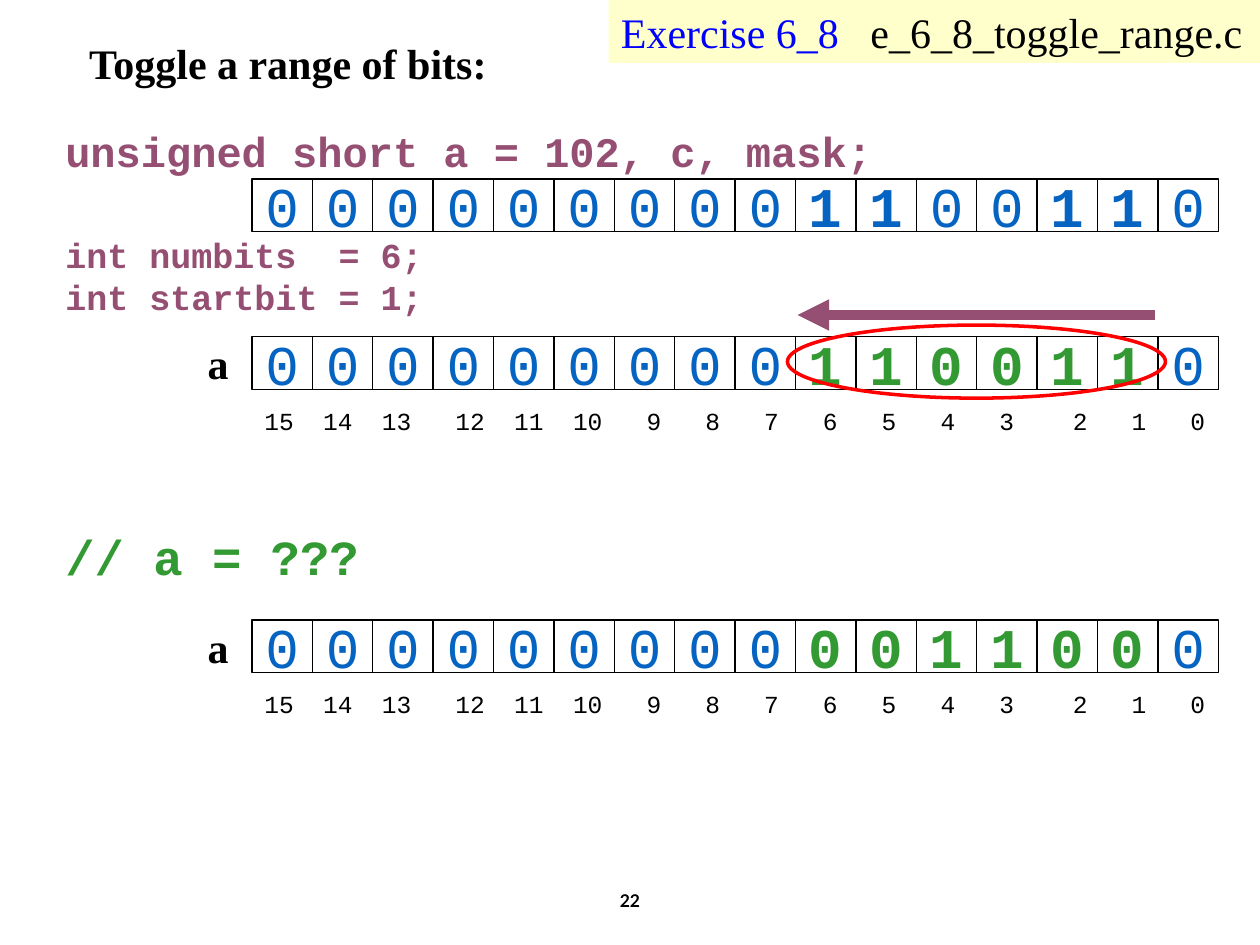
from lxml.etree import SubElement
from pptx import Presentation
from pptx.dml.color import RGBColor
from pptx.enum.shapes import MSO_CONNECTOR as Connector, MSO_SHAPE as Shape
from pptx.enum.text import MSO_ANCHOR as Anchor, PP_ALIGN as Align
from pptx.oxml.ns import qn
from pptx.util import Inches, Pt

BLACK, BLUE, GREEN, PURPLE = "000000", "0563C1", "339933", "954F72"
MONO, SERIF = "Courier New", "Times New Roman"
BIT_COUNT = 16
BIT_WIDTH = 7.67 / BIT_COUNT
BIT_HEIGHT = 0.42
BITS_LEFT = 2
TOGGLED = range(1, 7)
INDEX_CHAR = 14 * 0.6 / 72


def color(hex_string):
    return RGBColor.from_string(hex_string)


class BitSlide:
    def __init__(self, slide):
        self.slide = slide

    def run(self, paragraph, text, size, font, hex_color, bold=False):
        run = paragraph.add_run()
        run.text = text
        run.font.size = Pt(size)
        run.font.name = font
        run.font.bold = bold
        run.font.color.rgb = color(hex_color)

    def tabs(self, paragraph, stops, alignment):
        tab_list = SubElement(paragraph._p.get_or_add_pPr(), qn("a:tabLst"))
        for stop in stops:
            SubElement(tab_list, qn("a:tab"), pos=str(Inches(stop)), algn=alignment)

    def text(self, left, top, width, height, wrap=True, inset=0.05):
        shape = self.slide.shapes.add_textbox(
            Inches(left), Inches(top), Inches(width), Inches(height))
        frame = shape.text_frame
        frame.word_wrap = wrap
        frame.margin_top = Inches(inset)
        return frame

    def shape(self, shapes, kind, left, top, width, height, line=None, weight=0.75, fill=None):
        shape = shapes.add_shape(
            kind, Inches(left), Inches(top), Inches(width), Inches(height))
        shape.shadow.inherit = False
        if fill:
            shape.fill.solid()
            shape.fill.fore_color.rgb = color(fill)
        else:
            shape.fill.background()
        if line:
            shape.line.color.rgb = color(line)
            shape.line.width = Pt(weight)
        else:
            shape.line.fill.background()
        return shape

    def label(self, text, left, top, width):
        frame = self.text(left, top, width, 0.5, wrap=False)
        self.run(frame.paragraphs[0], text, 24, SERIF, BLACK, True)

    def code(self, left, top, width, height, lines):
        frame = self.text(left, top, width, height, inset=0)
        for number, (text, size, hex_color, space) in enumerate(lines):
            paragraph = frame.add_paragraph() if number else frame.paragraphs[0]
            if number:
                paragraph.space_before = Pt(space)
            self.run(paragraph, text, size, MONO, hex_color, True)

    def bits(self, top, value, highlighted=()):
        group = self.slide.shapes.add_group_shape()
        for column, digit in enumerate(f"{value:0{BIT_COUNT}b}"):
            marked = BIT_COUNT - 1 - column in highlighted
            cell = self.shape(group.shapes, Shape.RECTANGLE, BITS_LEFT + column * BIT_WIDTH,
                              top, BIT_WIDTH, BIT_HEIGHT, BLACK)
            frame = cell.text_frame
            frame.word_wrap = False
            frame.vertical_anchor = Anchor.MIDDLE
            paragraph = frame.paragraphs[0]
            paragraph.alignment = Align.CENTER
            self.run(paragraph, digit, 32, MONO, GREEN if marked else BLUE,
                     marked or digit == "1")

    def indexes(self, top):
        paragraph = self.text(BITS_LEFT, top, 7.83, 0.33).paragraphs[0]
        ends = [2 + 4 * column + (column >= 3) + (column >= 13)
                for column in range(1, BIT_COUNT)]
        self.tabs(paragraph, [end * INDEX_CHAR for end in ends], "r")
        numbers = "\t".join(str(bit) for bit in reversed(range(BIT_COUNT)))
        self.run(paragraph, numbers, 14, MONO, BLACK)

    def variable(self, name, top, value):
        self.bits(top, value, TOGGLED)
        self.indexes(top + 0.5)
        self.label(name, 1.55, top - 0.04, 0.37)

    def arrow(self, start, end, top, hex_color, weight):
        arrow = self.slide.shapes.add_connector(
            Connector.STRAIGHT, Inches(start), Inches(top), Inches(end), Inches(top))
        arrow.line.color.rgb = color(hex_color)
        arrow.line.width = Pt(weight)
        SubElement(arrow.line._get_or_add_ln(), qn("a:tailEnd"), type="triangle")
        SubElement(arrow._element.spPr, qn("a:effectLst"))

    def banner(self, title, file_name):
        shape = self.shape(self.slide.shapes, Shape.RECTANGLE, 4.83, 0, 5.17, 0.5, fill="FFFFCC")
        frame = shape.text_frame
        frame.vertical_anchor = Anchor.TOP
        paragraph = frame.paragraphs[0]
        paragraph.alignment = Align.LEFT
        self.tabs(paragraph, [1.98], "l")
        self.run(paragraph, title + "\t", 24, SERIF, "0000FF")
        self.run(paragraph, file_name, 24, SERIF, BLACK)

    def page_number(self, number):
        frame = self.text(3.31, 6.95, 3.38, 0.4)
        frame.vertical_anchor = Anchor.MIDDLE
        paragraph = frame.paragraphs[0]
        paragraph.alignment = Align.CENTER
        self.run(paragraph, number, 10, "Lato", BLACK, True)


def main():
    presentation = Presentation()
    presentation.slide_width = Inches(10)
    presentation.slide_height = Inches(7.5)
    page = BitSlide(presentation.slides.add_slide(presentation.slide_layouts[6]))

    page.page_number("22")
    page.code(0.42, 1, 7.83, 5.37, [
        ("unsigned short a = 102, c, mask;", 24, PURPLE, 0),
        ("int numbits  = 6;", 20, PURPLE, 32.5),
        ("int startbit = 1;", 20, PURPLE, 0),
        ("// a = ???", 28, GREEN, 119.5),
    ])
    page.bits(1.42, 102)
    page.label("Toggle a range of bits:", 0.61, 0.25, 3.39)
    page.variable("a", 2.67, 102)
    page.shape(page.slide.shapes, Shape.OVAL, 6.25, 2.58, 3, 0.58, "FF0000", 2)
    page.arrow(9.17, 6.33, 2.5, PURPLE, 6)
    page.variable("a", 4.92, 102 ^ sum(1 << bit for bit in TOGGLED))
    page.banner("Exercise 6_8", "e_6_8_toggle_range.c")

    presentation.save("out.pptx")


if __name__ == "__main__":
    main()
